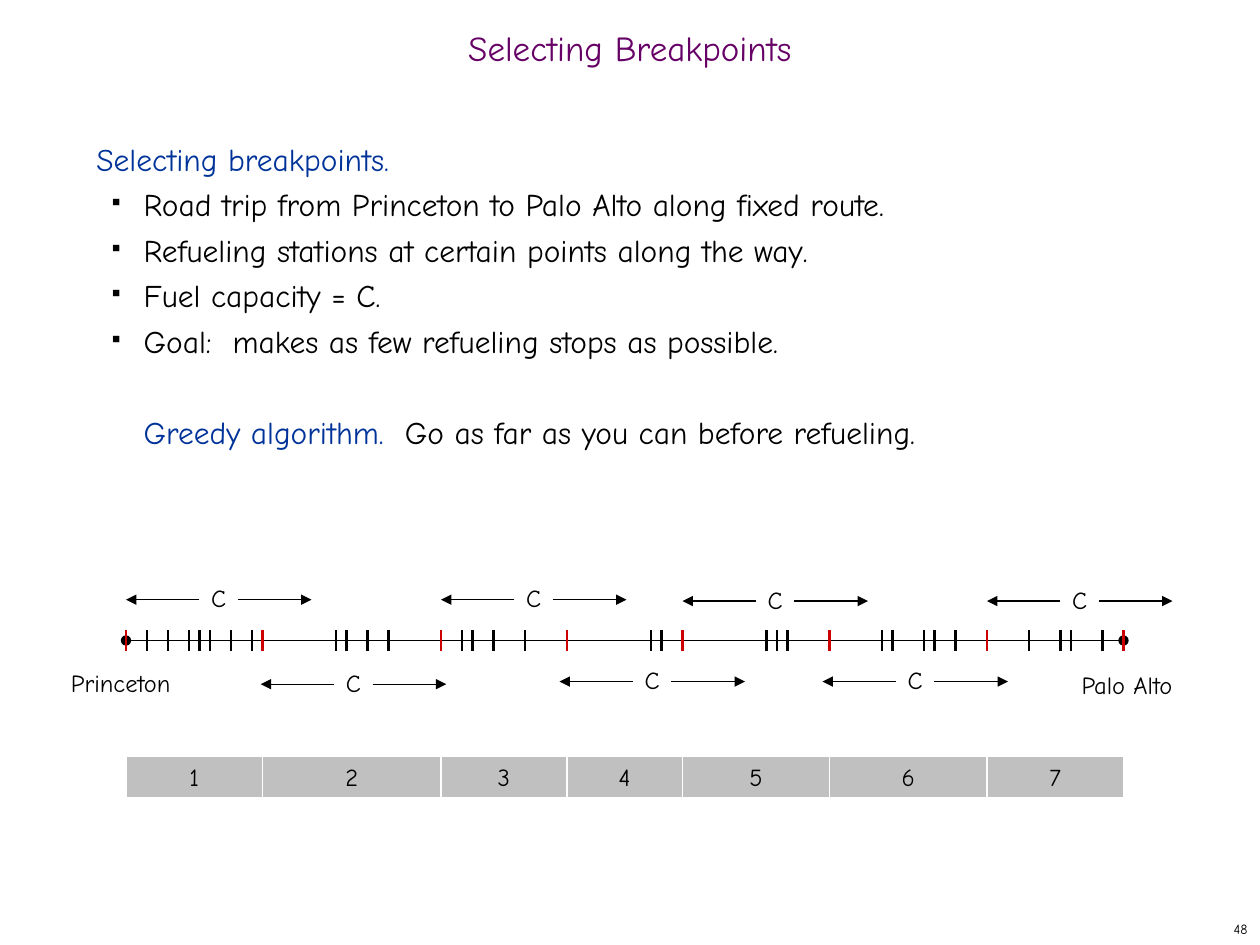
from lxml import etree
from pptx import Presentation
from pptx.dml.color import RGBColor
from pptx.enum import shapes as es, text as et
from pptx.oxml import ns
from pptx.util import Pt

FONT = "Comic Neue"
COL = {"title": "660066", "head": "003399", "ink": "000000",
       "stop": "CC0000", "bar": "C0C0C0", "edge": "FFFFFF"}
LEFT, CENTER, RIGHT = et.PP_ALIGN.LEFT, et.PP_ALIGN.CENTER, et.PP_ALIGN.RIGHT

UNIT = 6  # points of road between grid marks
STOPS = [0, 13, 30, 42, 53, 67, 82, 95]
STATIONS = [2, 4, 6, 7, 8, 10, 12, 20, 21, 23, 25, 32, 33, 35, 38, 50, 51, 61,
            62, 63, 72, 73, 76, 77, 79, 86, 89, 90, 93]
# Left end and height of each tank range, relative to the road's start
RANGES = [(0, -23.3), (77, 25), (180, -23.3), (247.7, 23.5),
          (318, -22.5), (398, 23.5), (492, -22.5)]
POINTS = ["Road trip from Princeton to Palo Alto along fixed route.",
          "Refueling stations at certain points along the way.",
          "Fuel capacity = C.",
          "Goal:  makes as few refueling stops as possible."]


def rgb(name):
    return RGBColor.from_string(COL[name])


def paint(run, size, color):
    run.font.name = FONT
    run.font.size = Pt(size)
    run.font.color.rgb = rgb(color)


def add_sub(node, tag, **attrs):
    return etree.SubElement(node, ns.qn(tag), **attrs)


def add_label(parent, box, words, size, color="ink", align=CENTER, wrap=False):
    label = parent.add_textbox(*map(Pt, box))
    frame = label.text_frame
    frame.word_wrap = wrap
    frame.vertical_anchor = et.MSO_ANCHOR.MIDDLE
    para = frame.paragraphs[0]
    para.text = words
    para.alignment = align
    paint(para.runs[0], size, color)
    return para


def add_line(parent, x1, y1, x2, y2, color="ink", width=0.75, head=None, tail=None):
    line = parent.add_connector(es.MSO_CONNECTOR.STRAIGHT, Pt(x1), Pt(y1), Pt(x2), Pt(y2))
    line.line.color.rgb = rgb(color)
    line.line.width = Pt(width)
    pen = line.line._get_or_add_ln()
    for tag, kind in (("a:headEnd", head), ("a:tailEnd", tail)):
        if kind:
            add_sub(pen, tag, type=kind, w="med", len="med")
    add_sub(line._element.spPr, "a:effectLst")


def add_body(slide, box):
    frame = slide.shapes.add_textbox(*map(Pt, box)).text_frame
    frame.word_wrap = True
    first = frame.paragraphs[0]
    first.text = "Selecting breakpoints."
    paint(first.runs[0], 18, "head")

    # Bulleted facts
    for words in POINTS:
        para = frame.add_paragraph()
        props = para._p.get_or_add_pPr()
        props.set("marL", str(Pt(27)))
        props.set("indent", str(Pt(-18)))
        add_sub(add_sub(props, "a:buClr"), "a:srgbClr", val=COL["ink"])
        add_sub(props, "a:buSzPct", val="35000")
        add_sub(props, "a:buChar", char="■")
        para.text = words
        paint(para.runs[0], 18, "ink")

    # Greedy rule, set off by one line
    last = frame.add_paragraph()
    last._p.get_or_add_pPr().set("marL", str(Pt(27)))
    last.space_before = Pt(26)
    for words, color in (("Greedy algorithm.  ", "head"),
                         ("Go as far as you can before refueling.", "ink")):
        run = last.add_run()
        run.text = words
        paint(run, 18, color)

    for para in frame.paragraphs:
        para.line_spacing = Pt(26)


def add_range(slide, x, y):
    """Double arrow of one tank's length, broken by its label."""
    parts = slide.shapes.add_group_shape().shapes
    arm, gap = 42, 22
    add_line(parts, x + arm + gap, y, x + 2 * arm + gap, y, tail="triangle")
    add_line(parts, x + arm, y, x, y, tail="triangle")
    add_label(parts, (x + arm - 0.5, y - 13, gap + 1, 24), "C", 14)


def add_road(slide, x, y):
    add_line(slide.shapes, x, y, x + STOPS[-1] * UNIT, y, head="oval", tail="oval")
    add_label(slide.shapes, (x - 39, y + 12, 72, 24), "Princeton", 14)
    add_label(slide.shapes, (x + 538, y + 13, 68, 24), "Palo Alto", 14)
    for dx, dy in RANGES:
        add_range(slide, x + dx, y + dy)
    for mark in sorted(STATIONS + STOPS):
        at = x + mark * UNIT
        color = "stop" if mark in STOPS else "ink"
        add_line(slide.shapes, at, y - 6, at, y + 6, color, 1.25)


def add_legs(slide, x, y, high):
    """One numbered bar between each pair of stops."""
    for num, (start, end) in enumerate(zip(STOPS, STOPS[1:]), 1):
        bar = slide.shapes.add_shape(es.MSO_SHAPE.RECTANGLE, Pt(x + start * UNIT), Pt(y),
                                     Pt((end - start) * UNIT), Pt(high))
        bar.shadow.inherit = False
        bar.fill.solid()
        bar.fill.fore_color.rgb = rgb("bar")
        bar.line.color.rgb = rgb("edge")
        bar.line.width = Pt(0.75)
        frame = bar.text_frame
        frame.text = str(num)
        frame.word_wrap = False
        frame.vertical_anchor = et.MSO_ANCHOR.MIDDLE
        frame.paragraphs[0].alignment = CENTER
        paint(frame.paragraphs[0].runs[0], 14, "ink")


def main():
    deck = Presentation()
    deck.slide_width, deck.slide_height = Pt(720), Pt(540)
    slide = deck.slides.add_slide(deck.slide_layouts[6])

    title = add_label(slide.shapes, (0, 12, 720, 36), "Selecting Breakpoints", 20,
                      "title", wrap=True)
    title.line_spacing = 0.7
    add_body(slide, (48, 72, 618, 426))
    add_road(slide, 72, 366)
    add_legs(slide, 72, 432, 24)
    add_label(slide.shapes, (570, 522, 150, 18), "48", 8, align=RIGHT, wrap=True)

    deck.save("out.pptx")


if __name__ == "__main__":
    main()
